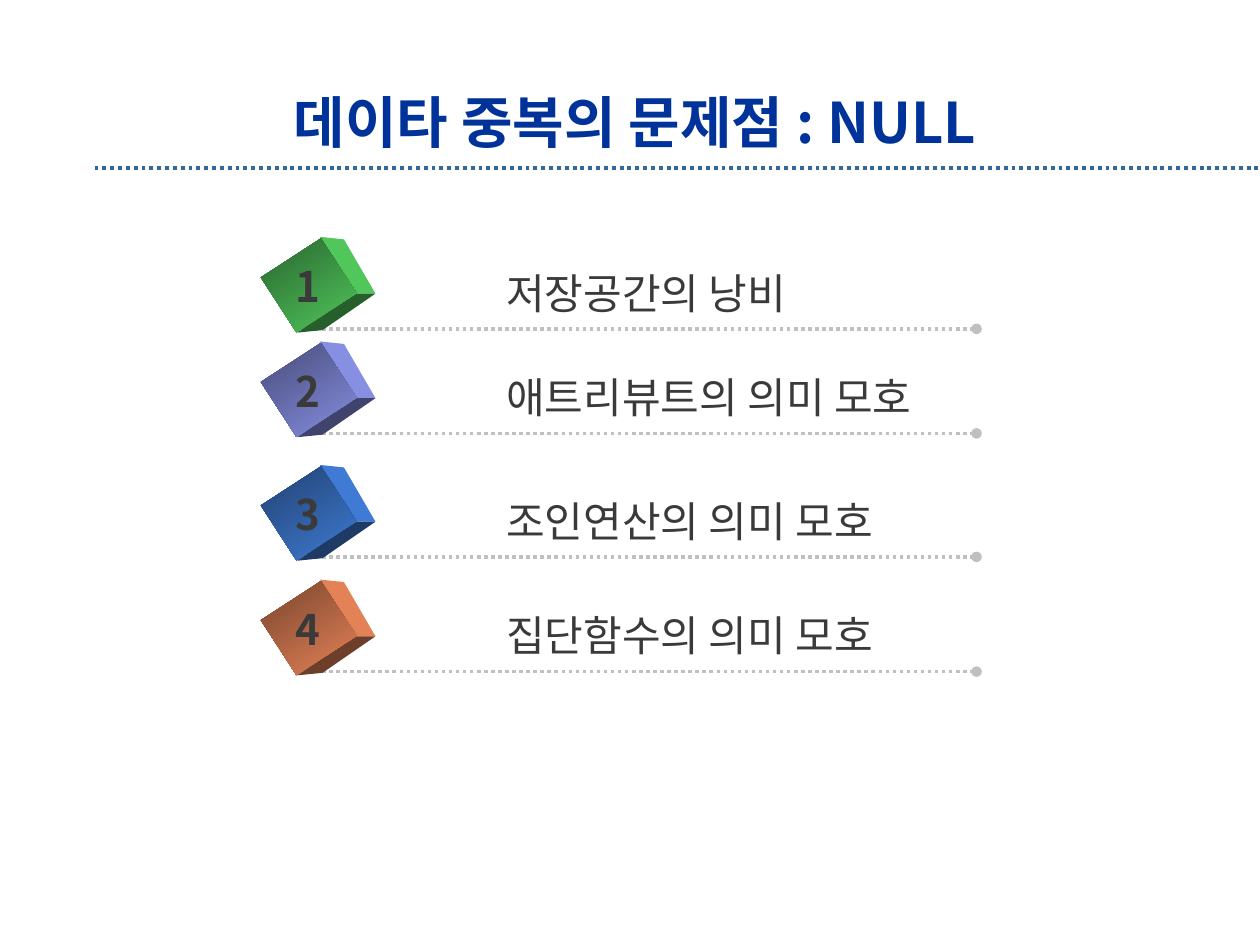
from lxml.etree import SubElement
from pptx import Presentation
from pptx.dml.color import RGBColor
from pptx.enum.dml import MSO_LINE
from pptx.enum.shapes import MSO_CONNECTOR, MSO_SHAPE
from pptx.enum.text import MSO_ANCHOR, MSO_AUTO_SIZE, PP_ALIGN
from pptx.oxml.ns import qn
from pptx.util import Inches, Pt

FONT = "Noto Sans CJK KR"
COLORS = {"title": "003399", "title_rule": "336699", "row_rule": "C0C0C0", "text": "3A3A3A"}
# Row top, text, and the front shade, side and bottom colours of the cube
ROWS = [
    (1.98, "저장공간의 낭비", 2.67, ("2A652F", "50C65B", "275F2C")),
    (2.81, "애트리뷰트의 의미 모호", 3.79, ("474B77", "868FE2", "40446C")),
    (3.79, "조인연산의 의미 모호", 3.45, ("214170", "3F7BD4", "1E3B66")),
    (4.70, "집단함수의 의미 모호", 3.45, ("79452E", "E48257", "6D3E29")),
]
CUBE_SIDE = [(0.35, -0.10), (0.54, -0.08), (0.79, 0.35), (0.62, 0.35)]
CUBE_BOTTOM = [(0.62, 0.35), (0.79, 0.35), (0.37, 0.64), (0.17, 0.66)]


def rgb(value):
    return RGBColor.from_string(value)


def write_text(frame, text, size=24, color="text", bold=False, align=PP_ALIGN.LEFT):
    paragraph = frame.paragraphs[0]
    paragraph.alignment = align
    run = paragraph.add_run()
    run.text = text
    run.font.name = FONT
    run.font.size = Pt(size)
    run.font.bold = bold
    run.font.color.rgb = rgb(COLORS[color])
    SubElement(run.font._element, qn("a:ea"), typeface=FONT)


def add_label(shapes, text, left, top, width, **text_format):
    box = shapes.add_textbox(Inches(left), Inches(top), Inches(width), Inches(0.51))
    box.text_frame.word_wrap = False
    box.text_frame.auto_size = MSO_AUTO_SIZE.SHAPE_TO_FIT_TEXT
    write_text(box.text_frame, text, **text_format)


def add_dotted_rule(shapes, left, right, y, color, width, oval_end=False):
    rule = shapes.add_connector(
        MSO_CONNECTOR.STRAIGHT, Inches(left), Inches(y), Inches(right), Inches(y))
    rule.line.color.rgb = rgb(COLORS[color])
    rule.line.width = Pt(width)
    rule.line.dash_style = MSO_LINE.ROUND_DOT
    if oval_end:
        SubElement(rule.line._get_or_add_ln(), qn("a:tailEnd"), type="oval")
    SubElement(rule._element.spPr, qn("a:effectLst"))


def add_cube_face(shapes, points, left, top, color):
    corners = [(Inches(left + x), Inches(top + y)) for x, y in points]
    builder = shapes.build_freeform(*corners[0])
    builder.add_line_segments(corners[1:], close=True)
    face = builder.convert_to_shape()
    face.shadow.inherit = False
    face.fill.solid()
    face.fill.fore_color.rgb = rgb(color)
    face.line.fill.background()


def add_cube(shapes, left, top, shade, side, bottom):
    add_cube_face(shapes, CUBE_SIDE, left, top, side)
    add_cube_face(shapes, CUBE_BOTTOM, left, top, bottom)
    front = shapes.add_shape(
        MSO_SHAPE.RECTANGLE, Inches(left), Inches(top), Inches(0.52), Inches(0.57))
    front.rotation = 57
    front.shadow.inherit = False
    front.line.fill.background()
    front.fill.gradient()
    front.fill.gradient_angle = 0
    for stop, color in zip(front.fill.gradient_stops, (shade, side)):
        stop.color.rgb = rgb(color)


def add_row(slide, number, left, top, text, text_width, cube_colors):
    shapes = slide.shapes.add_group_shape().shapes
    add_dotted_rule(shapes, left + 0.31, left + 5.56, top + 0.63, "row_rule", 2, oval_end=True)
    add_cube(shapes, left, top, *cube_colors)
    add_label(shapes, text, left + 1.73, top + 0.09, text_width)
    add_label(shapes, str(number), left + 0.06, top + 0.04, 0.41, bold=True)


def add_heading(slide, left, top, width, height):
    add_dotted_rule(slide.shapes, left, 10, top + 0.66, "title_rule", 2.25)
    title = slide.shapes.title
    title.left, title.top = Inches(left), Inches(top)
    title.width, title.height = Inches(width), Inches(height)
    title.text_frame.vertical_anchor = MSO_ANCHOR.MIDDLE
    write_text(title.text_frame, "데이타 중복의 문제점 : NULL", size=32, color="title",
               bold=True, align=PP_ALIGN.CENTER)


def main():
    presentation = Presentation()
    presentation.slide_width, presentation.slide_height = Inches(10), Inches(7.5)
    slide = presentation.slides.add_slide(presentation.slide_layouts[5])
    add_heading(slide, 0.75, 0.67, 8.58, 0.58)
    for number, (top, text, text_width, cube_colors) in enumerate(ROWS, start=1):
        add_row(slide, number, 2.19, top, text, text_width, cube_colors)
    presentation.save("out.pptx")


if __name__ == "__main__":
    main()
